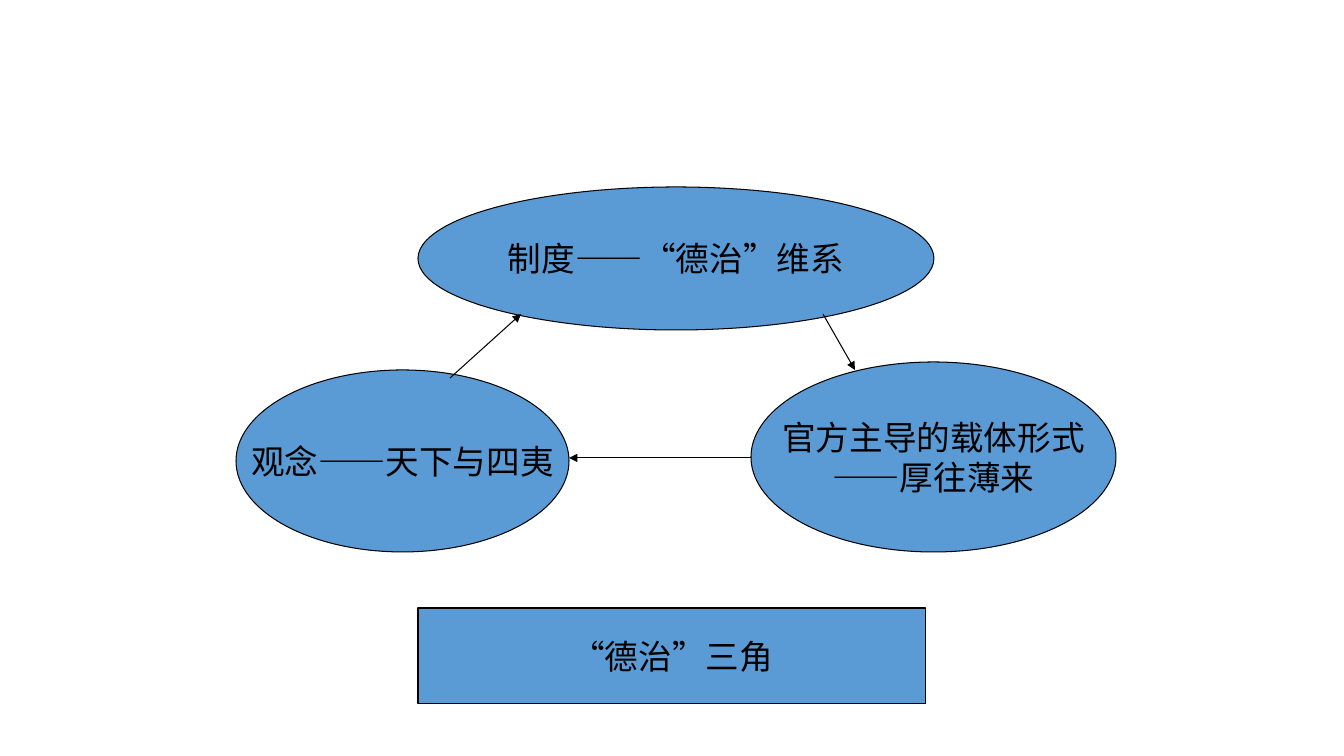
from lxml.etree import SubElement
from pptx import Presentation
from pptx.dml.color import RGBColor
from pptx.enum.shapes import MSO_CONNECTOR, MSO_SHAPE
from pptx.enum.text import MSO_ANCHOR, PP_ALIGN
from pptx.oxml.ns import qn
from pptx.util import Pt

EMU_PER_PX = 914400 / 100.8
SLIDE_SIZE = (1344, 756)
COLORS = {"fill": "5B9BD5", "ink": "000000"}
LINE_WIDTH = Pt(0.75)
FONT = {"name": "Arial", "size": Pt(24)}
FRAME = {"word_wrap": False, "vertical_anchor": MSO_ANCHOR.MIDDLE}

# Shape kind, (left, top, width, height) in px, lines of text
NODES = [
    (MSO_SHAPE.OVAL, (236, 370, 333, 182), ["观念——天下与四夷"]),
    (MSO_SHAPE.OVAL, (751, 362, 365, 190), ["官方主导的载体形式", "——厚往薄来"]),
    (MSO_SHAPE.OVAL, (418, 187, 516, 143), ["制度——“德治”维系"]),
    (MSO_SHAPE.RECTANGLE, (418, 608, 508, 96), ["“德治”三角"]),
]
# Start x, start y, end x, end y in px
ARROWS = [
    (450, 378, 521, 314),
    (823, 314, 855, 370),
    (751, 458, 569, 458),
]


def px(*lengths):
    return [round(length * EMU_PER_PX) for length in lengths]


def color(name):
    return RGBColor.from_string(COLORS[name])


def set_all(target, values):
    for name, value in values.items():
        setattr(target, name, value)


def style_line(line):
    line.color.rgb = color("ink")
    line.width = LINE_WIDTH


def add_node(page, kind, bounds, lines):
    node = page.shapes.add_shape(kind, *px(*bounds))
    node.shadow.inherit = False
    node.fill.solid()
    node.fill.fore_color.rgb = color("fill")
    style_line(node.line)
    frame = node.text_frame
    set_all(frame, FRAME)
    frame.text = "\n".join(lines)
    for para in frame.paragraphs:
        para.alignment = PP_ALIGN.CENTER
        for span in para.runs:
            set_all(span.font, FONT)
            span.font.color.rgb = color("ink")


def add_arrow(page, ends):
    arrow = page.shapes.add_connector(MSO_CONNECTOR.STRAIGHT, *px(*ends))
    style_line(arrow.line)
    SubElement(arrow.line._get_or_add_ln(), qn("a:tailEnd"), type="triangle")
    SubElement(arrow._element.spPr, qn("a:effectLst"))


def main():
    deck = Presentation()
    deck.slide_width, deck.slide_height = px(*SLIDE_SIZE)
    page = deck.slides.add_slide(deck.slide_layouts[6])
    for node in NODES:
        add_node(page, *node)
    for ends in ARROWS:
        add_arrow(page, ends)
    deck.save("out.pptx")


if __name__ == "__main__":
    main()
